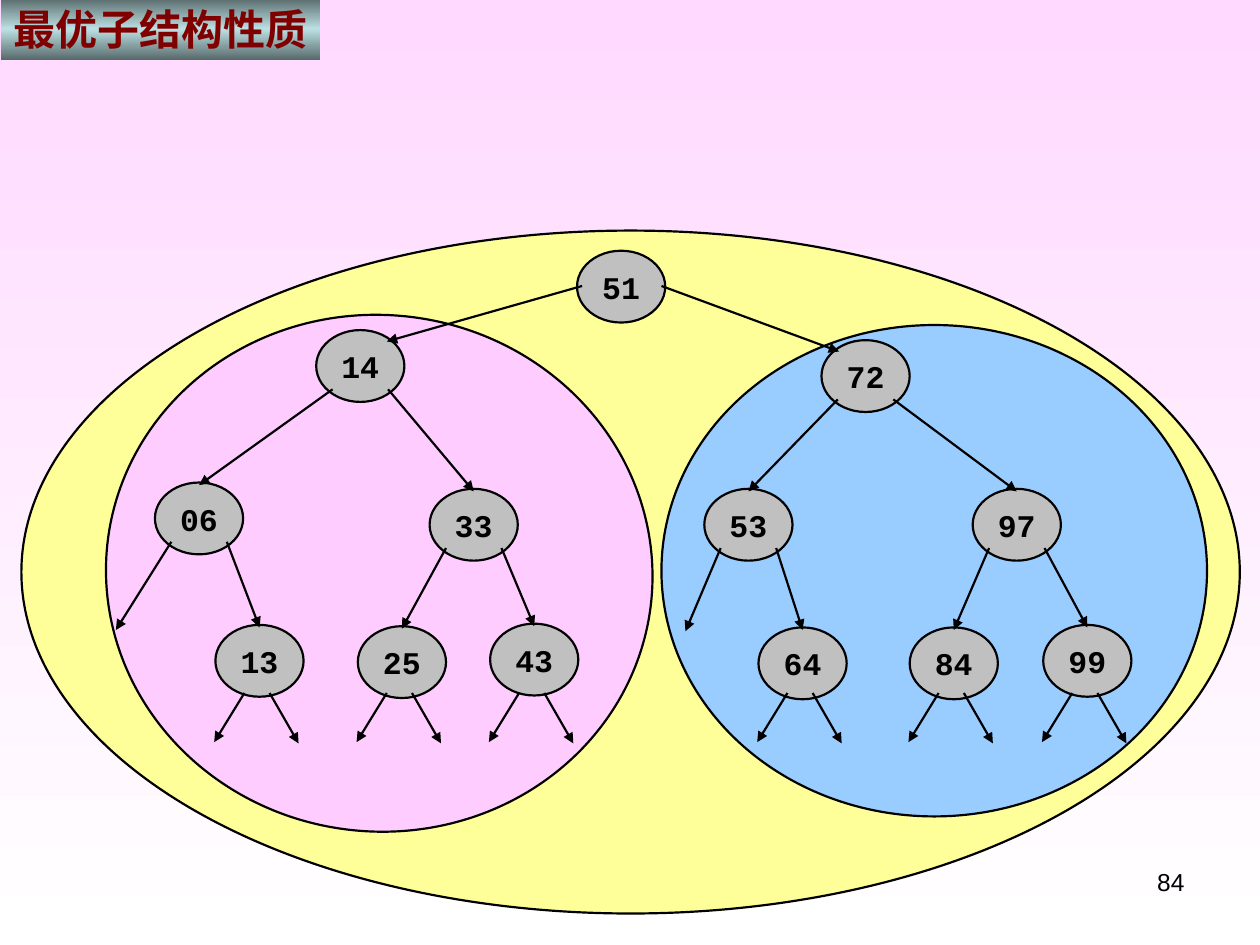
from copy import deepcopy

from lxml import etree
from pptx import Presentation
from pptx import util as u
from pptx.dml.color import RGBColor
from pptx.enum import shapes, text
from pptx.oxml.ns import qn

COLORS = {name: RGBColor.from_string(value) for name, value in {
    "black": "000000", "title": "800000", "node": "C0C0C0",
    "whole": "FFFF99", "right": "99CCFF", "left": "FFCCFF",
    "sky": "FFD9FF", "white": "FFFFFF", "edge": "576869", "middle": "BBE0E3",
}.items()}
NODE_WIDTH, NODE_HEIGHT = 0.7, 0.57

deck = Presentation()
deck.slide_width, deck.slide_height = u.Inches(10), u.Inches(7.5)
page = deck.slides.add_slide(deck.slide_layouts[5])


def write(box, words, align, anchor, wrap, color="black", right=0.1, **font):
    frame = box.text_frame
    settings = {"word_wrap": wrap, "vertical_anchor": anchor,
                "auto_size": text.MSO_AUTO_SIZE.NONE,
                "margin_left": u.Inches(0.1), "margin_right": u.Inches(right),
                "margin_top": u.Inches(0.05), "margin_bottom": u.Inches(0.05)}
    for key, value in settings.items():
        setattr(frame, key, value)
    para = frame.paragraphs[0]
    para.alignment = align
    span = para.add_run()
    span.text = words
    span.font.color.rgb = COLORS[color]
    for key, value in font.items():
        setattr(span.font, key, value)


def add_ellipse(parent, color, *place):
    ellipse = parent.add_shape(shapes.MSO_SHAPE.OVAL, *[u.Inches(value) for value in place])
    ellipse.shadow.inherit = False
    ellipse.fill.solid()
    ellipse.fill.fore_color.rgb = COLORS[color]
    ellipse.line.color.rgb = COLORS["black"]
    ellipse.line.width = u.Pt(1.25)
    return ellipse


title = page.shapes.title
title.left, title.top = u.Inches(0.01), u.Inches(-0.02)
title.width, title.height = u.Inches(2.53), u.Inches(0.5)
write(title, "最优子结构性质", text.PP_ALIGN.LEFT, text.MSO_ANCHOR.TOP, False,
      color="title", right=0, name="Arial", size=u.Pt(24), bold=True)

title.fill.gradient()
stop_list = title.element.spPr.find(qn("a:gradFill")).find(qn("a:gsLst"))
stop_list.append(deepcopy(stop_list[0]))
page.background.fill.gradient()
for fill, names in ((page.background.fill, ["sky", "white"]),
                    (title.fill, ["edge", "middle", "edge"])):
    fill.gradient_angle = 270
    for index, (stop, name) in enumerate(zip(fill.gradient_stops, names)):
        stop.color.rgb = COLORS[name]
        stop.position = index / (len(names) - 1)

add_ellipse(page.shapes, "whole", 0.17, 1.83, 9.67, 5.42)
add_ellipse(page.shapes, "right", 5.25, 2.58, 4.33, 3.9)
add_ellipse(page.shapes, "left", 0.84, 2.5, 4.34, 4.1).rotation = 6

nodes = {
    "51": (4.58, 1.99), "14": (2.51, 2.62), "72": (6.52, 2.7),
    "06": (1.23, 3.83), "33": (3.41, 3.88), "53": (5.59, 3.88), "97": (7.72, 3.88),
    "13": (1.71, 4.96), "25": (2.84, 4.97), "43": (3.89, 4.95),
    "64": (6.02, 4.98), "84": (7.22, 4.98), "99": (8.28, 4.96),
}
tree = page.shapes.add_group_shape()
for key, (x, y) in nodes.items():
    node = add_ellipse(tree.shapes, "node", x, y, NODE_WIDTH, NODE_HEIGHT)
    write(node, key, text.PP_ALIGN.CENTER, text.MSO_ANCHOR.MIDDLE, False,
          name="Courier New", size=u.Pt(18), bold=True)

children = {"14": ("06", "33"), "72": ("53", "97"), "06": (None, "13"),
            "33": ("25", "43"), "53": (None, "64"), "97": ("84", "99")}
empty_ends = {"06": (0.92, 5), "53": (5.44, 5.01)}
arrows = [(4.62, 2.27, 3.07, 2.71), (5.25, 2.27, 6.66, 2.79)]
for key, (x, y) in nodes.items():
    center = x + NODE_WIDTH / 2
    if key in children:
        for side, child in zip((-1, 1), children[key]):
            if child:
                child_x, child_y = nodes[child]
                end = (child_x + NODE_WIDTH / 2, child_y + 0.02)
            else:
                end = empty_ends[key]
            arrows.append((center + side * 0.22, y + 0.47, *end))
    elif key != "51":
        arrows.append((center - 0.12, 5.5, center - 0.36, 5.89))
        arrows.append((center + 0.08, 5.5, center + 0.31, 5.9))

for ends in arrows:
    arrow = tree.shapes.add_connector(shapes.MSO_CONNECTOR.STRAIGHT,
                                      *[u.Inches(value) for value in ends])
    arrow.line.color.rgb = COLORS["black"]
    arrow.line.width = u.Pt(1.25)
    properties = arrow.element.spPr
    etree.SubElement(properties.find(qn("a:ln")), qn("a:tailEnd"), type="triangle")
    etree.SubElement(properties, qn("a:effectLst"))

number = page.shapes.add_textbox(u.Inches(7.17), u.Inches(6.83),
                                 u.Inches(2.33), u.Inches(0.52))
write(number, "84", text.PP_ALIGN.RIGHT, text.MSO_ANCHOR.TOP, True,
      name="Arial", size=u.Pt(14))

deck.save("out.pptx")
